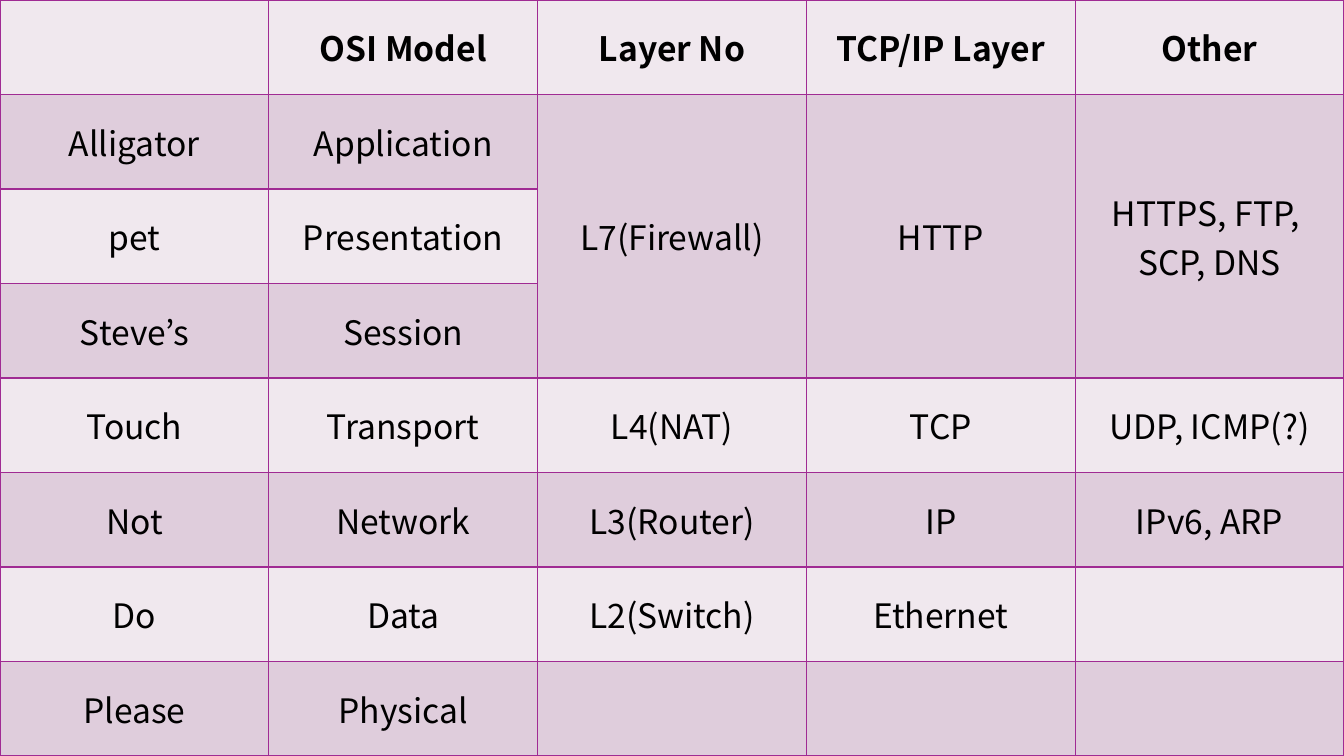
"""Build a slide with a table of the OSI layers, a mnemonic and their protocols."""
from dataclasses import dataclass

from pptx import Presentation
from pptx.dml.color import RGBColor
from pptx.enum.text import MSO_ANCHOR, PP_ALIGN
from pptx.oxml import parse_xml
from pptx.oxml.ns import nsdecls
from pptx.util import Pt

LAYERS = [
    ("", "OSI Model", "Layer No", "TCP/IP Layer", "Other"),
    ("Alligator", "Application", "L7(Firewall)", "HTTP", "HTTPS, FTP, \nSCP, DNS"),
    ("pet", "Presentation", "", "", ""),
    ("Steve’s", "Session", "", "", ""),
    ("Touch", "Transport", "L4(NAT)", "TCP", "UDP, ICMP(?)"),
    ("Not", "Network", "L3(Router)", "IP", "IPv6, ARP"),
    ("Do", "Data", "L2(Switch)", "Ethernet", ""),
    ("Please", "Physical", "", "", ""),
]
MERGED_ROWS = (1, 3)
MERGED_COLUMNS = (2, 3, 4)


@dataclass(frozen=True)
class Theme:
    bands: tuple = ("F0E8EE", "DFCDDC")
    border: str = "A02B93"
    border_width: int = Pt(1)
    text: str = "000000"
    font: str = "Noto Sans CJK KR"
    size: int = Pt(24)


THEME = Theme()
SLIDE_WIDTH, SLIDE_HEIGHT = 1344, 756
PX = 12192000 / SLIDE_WIDTH
MARGIN_X, MARGIN_Y = 8, 4


def emu(px):
    return round(px * PX)


CELL_FORMAT = {
    "vertical_anchor": MSO_ANCHOR.MIDDLE,
    "margin_left": emu(MARGIN_X),
    "margin_right": emu(MARGIN_X),
    "margin_top": emu(MARGIN_Y),
    "margin_bottom": emu(MARGIN_Y),
}


def apply(target, values):
    for name, value in values.items():
        setattr(target, name, value)


def add_borders(cell):
    properties = cell._tc.get_or_add_tcPr()
    for side in "LRTB":
        properties.append(parse_xml(
            f'<a:ln{side} {nsdecls("a")} w="{THEME.border_width}"><a:solidFill>'
            f'<a:srgbClr val="{THEME.border}"/></a:solidFill></a:ln{side}>'
        ))


def format_cell(cell, words, row):
    apply(cell, CELL_FORMAT)
    add_borders(cell)
    cell.fill.solid()
    cell.fill.fore_color.rgb = RGBColor.from_string(THEME.bands[row % 2])
    cell.text_frame.text = words
    for paragraph in cell.text_frame.paragraphs:
        paragraph.alignment = PP_ALIGN.CENTER
        for run in paragraph.runs:
            apply(run.font, {"name": THEME.font, "size": THEME.size, "bold": row == 0})
            run.font.color.rgb = RGBColor.from_string(THEME.text)


def main():
    deck = Presentation()
    apply(deck, {"slide_width": emu(SLIDE_WIDTH), "slide_height": emu(SLIDE_HEIGHT)})
    slide = deck.slides.add_slide(deck.slide_layouts[6])
    layers = slide.shapes.add_table(
        len(LAYERS), len(LAYERS[0]), 0, 0, deck.slide_width, deck.slide_height
    ).table
    apply(layers, {"first_row": False, "horz_banding": False})

    for row, entries in enumerate(LAYERS):
        for column, words in enumerate(entries):
            format_cell(layers.cell(row, column), words, row)
    first, last = MERGED_ROWS
    for column in MERGED_COLUMNS:
        layers.cell(first, column).merge(layers.cell(last, column))
    deck.save("out.pptx")


if __name__ == "__main__":
    main()
